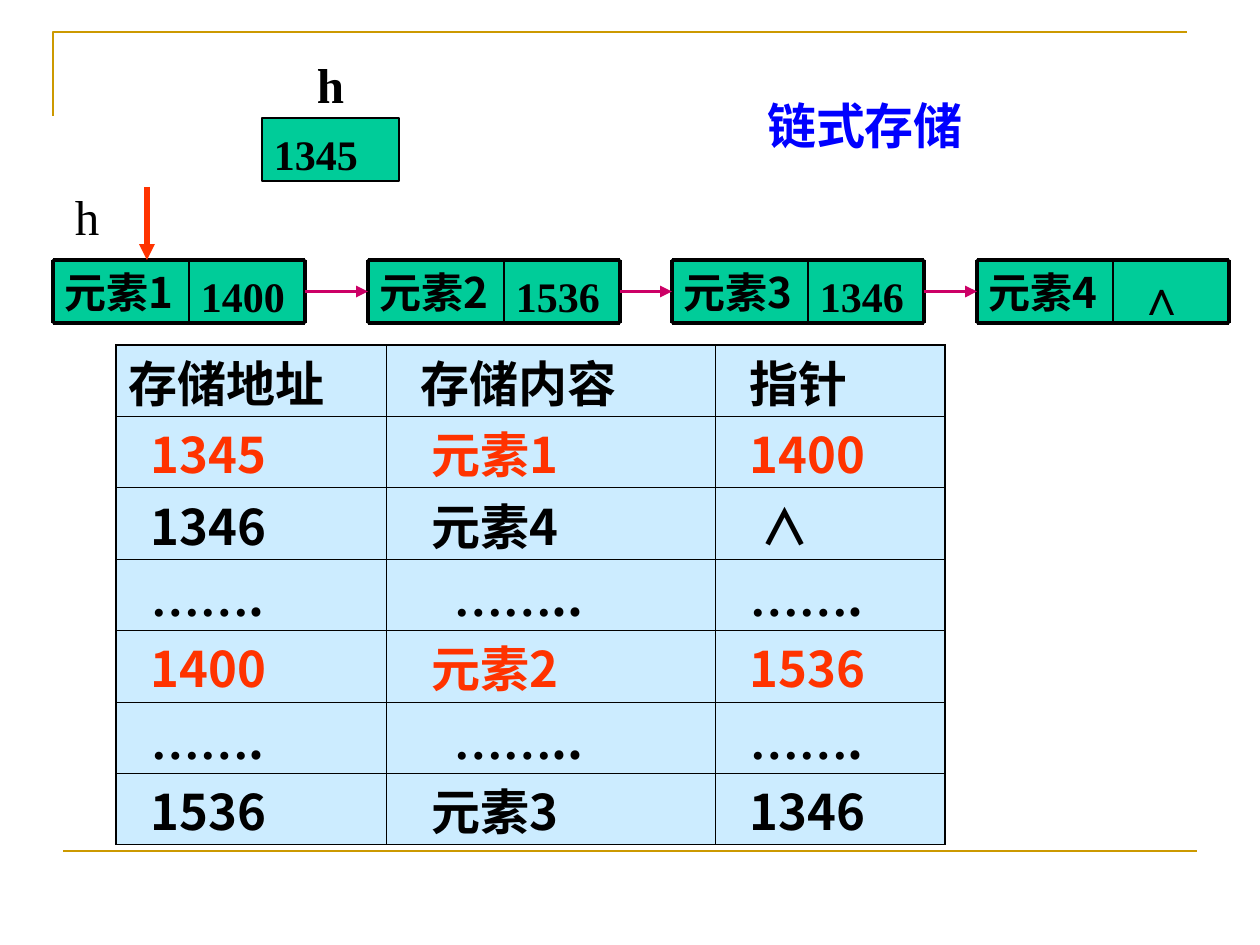
from lxml.etree import SubElement
from pptx import Presentation
from pptx.dml.color import RGBColor as RGB
from pptx.enum.shapes import MSO_CONNECTOR as Link, MSO_SHAPE as Kind
from pptx.enum.text import MSO_ANCHOR as Anchor, PP_ALIGN as Align
from pptx.oxml import parse_xml
from pptx.oxml.ns import nsdecls, qn
from pptx.util import Pt

SCALE = 914400 / 126
BLACK = RGB(0, 0, 0)
GREEN = RGB(0, 204, 153)
GOLD = RGB(204, 153, 0)
PINK = RGB(204, 0, 102)
RED = RGB(255, 51, 0)
BLUE = RGB(0, 0, 255)
SKY = RGB(204, 236, 255)
SANS = "Noto Sans CJK SC"
SERIF = "Times New Roman"


def px(num):
    return round(num * SCALE)


def apply(item, vals):
    for key, val in vals.items():
        setattr(item, key, val)


class Page:
    def __init__(self, deck):
        self.slide = deck.slides.add_slide(deck.slide_layouts[5])
        self.shapes = self.slide.shapes

    def words(self, para, text, size, face=SANS, color=BLACK, bold=True):
        run = para.add_run()
        run.text = text
        apply(run.font, {"size": Pt(size), "name": face, "bold": bold})
        run.font.color.rgb = color
        SubElement(run.font._element, qn("a:ea"), typeface=face)

    def frame(self, item, text, size, pad=(12, 6), wrap=False,
              anchor=Anchor.MIDDLE, align=Align.LEFT, **look):
        body = item.text_frame
        left, top = pad
        apply(body, {"margin_left": px(left), "margin_right": px(12),
                     "margin_top": px(top), "margin_bottom": px(6),
                     "word_wrap": wrap, "vertical_anchor": anchor})
        para = body.paragraphs[0]
        para.alignment = align
        self.words(para, text, size, **look)

    def title(self, text, x, y, wide, high):
        item = self.shapes.title
        apply(item, {"left": px(x), "top": px(y),
                     "width": px(wide), "height": px(high)})
        self.frame(item, text, 28, align=Align.CENTER, color=BLUE)

    def label(self, text, x, y, wide, high, **look):
        item = self.shapes.add_textbox(px(x), px(y), px(wide), px(high))
        self.frame(item, text, 28, pad=(12, 10), anchor=Anchor.TOP,
                   face=SERIF, **look)

    def box(self, text, x, y, wide, high, size=24, **look):
        item = self.shapes.add_shape(Kind.RECTANGLE, px(x), px(y),
                                     px(wide), px(high))
        item.shadow.inherit = False
        item.fill.solid()
        item.fill.fore_color.rgb = GREEN
        item.line.color.rgb = BLACK
        item.line.width = Pt(0.75)
        self.frame(item, text, size, **look)
        return item

    def line(self, x1, y1, x2, y2, color=BLACK, width=2.25, arrow=False):
        item = self.shapes.add_connector(Link.STRAIGHT, px(x1), px(y1),
                                         px(x2), px(y2))
        item.line.color.rgb = color
        item.line.width = Pt(width)
        if arrow:
            SubElement(item.line._get_or_add_ln(), qn("a:tailEnd"),
                       type="triangle")
        SubElement(item._element.spPr, qn("a:effectLst"))
        return item

    def join(self, start, end):
        item = self.line(0, 0, 1, 1, PINK, arrow=True)
        item.begin_connect(start, 3)
        item.end_connect(end, 1)

    def corner(self, *spots):
        spots = [(px(x), px(y)) for x, y in spots]
        trace = self.shapes.build_freeform(*spots[0], scale=1.0)
        trace.add_line_segments(spots[1:], close=False)
        item = trace.convert_to_shape()
        item.shadow.inherit = False
        item.fill.background()
        item.line.color.rgb = GOLD
        item.line.width = Pt(1.5)

    def node(self, x, name, link, **look):
        y, high, mid, end = 260, 63, x + 136, x + 252
        tail = self.box(link, mid, y, 116, high, face=SERIF, **look)
        head = self.box(name, x, y, 136, high)
        for level in (y, y + high):
            self.line(x, level, end, level)
        for edge, width in ((x, 2.25), (mid, 1), (end, 2.25)):
            self.line(edge, y, edge, y + high, width=width)
        return head, tail

    def border(self, cell, sides):
        props = cell._tc.get_or_add_tcPr()
        for spot, (side, outer) in enumerate(sides.items()):
            width = Pt(1 if outer else 0.5)
            props.insert(spot, parse_xml(
                f'<a:ln{side} {nsdecls("a")} w="{width}"><a:solidFill>'
                f'<a:srgbClr val="{BLACK}"/></a:solidFill></a:ln{side}>'))

    def table(self, rows, cols, reds, x, y, high):
        grid = self.shapes.add_table(len(rows), len(cols), px(x), px(y),
                                     px(sum(cols)), px(high)).table
        apply(grid, {"first_row": False, "horz_banding": False})
        for col, wide in zip(grid.columns, cols):
            col.width = px(wide)
        for r, row in enumerate(rows):
            for c, (text, gap) in enumerate(row):
                cell = grid.cell(r, c)
                cell.fill.solid()
                cell.fill.fore_color.rgb = SKY
                self.border(cell, {"L": c == 0, "R": c == len(cols) - 1,
                                   "T": r == 0, "B": r == len(rows) - 1})
                apply(cell, {"margin_left": px(13 + 11 * gap),
                             "margin_top": 0, "margin_bottom": 0,
                             "vertical_anchor": Anchor.BOTTOM})
                para = cell.text_frame.paragraphs[0]
                dots = text.count("…")
                if dots:
                    self.words(para, text[:dots], 28, SERIF)
                self.words(para, text[dots:], 28,
                           color=RED if r in reds else BLACK)


def main():
    deck = Presentation()
    apply(deck, {"slide_width": px(1260), "slide_height": px(945)})
    page = Page(deck)
    page.corner((53, 116), (53, 32), (1187, 32))
    page.line(63, 851, 1197, 851, GOLD, 1.5)
    page.title("链式存储", 746, 89, 238, 72)

    serif = {"pad": (12, 14)}
    nodes = [page.node(53, "元素1", "1400", **serif),
             page.node(368, "元素2", "1536", **serif),
             page.node(672, "元素3", "1346", **serif),
             page.node(977, "元素4", "∧", size=28, pad=(25, 14))]
    for (_, tail), (head, _) in zip(nodes, nodes[1:]):
        page.join(tail, head)

    page.box("1345", 262, 118, 137, 63, face=SERIF, **serif)
    page.label("h", 63, 176, 49, 72, bold=False)
    page.label("h", 305, 44, 53, 72, wrap=True)
    page.line(147, 187, 147, 260, RED, 3, arrow=True)

    dots = [("…….", 2), ("……..", 5), ("…….", 2)]
    rows = [[("存储地址", 0), ("存储内容", 2), ("指针", 2)],
            [("1345", 2), ("元素1", 3), ("1400", 2)],
            [("1346", 2), ("元素4", 3), ("∧", 3)],
            dots,
            [("1400", 2), ("元素2", 3), ("1536", 2)],
            dots,
            [("1536", 2), ("元素3", 3), ("1346", 2)]]
    page.table(rows, (270, 329, 230), (1, 4), 116, 345, 500)
    deck.save("out.pptx")


if __name__ == "__main__":
    main()
